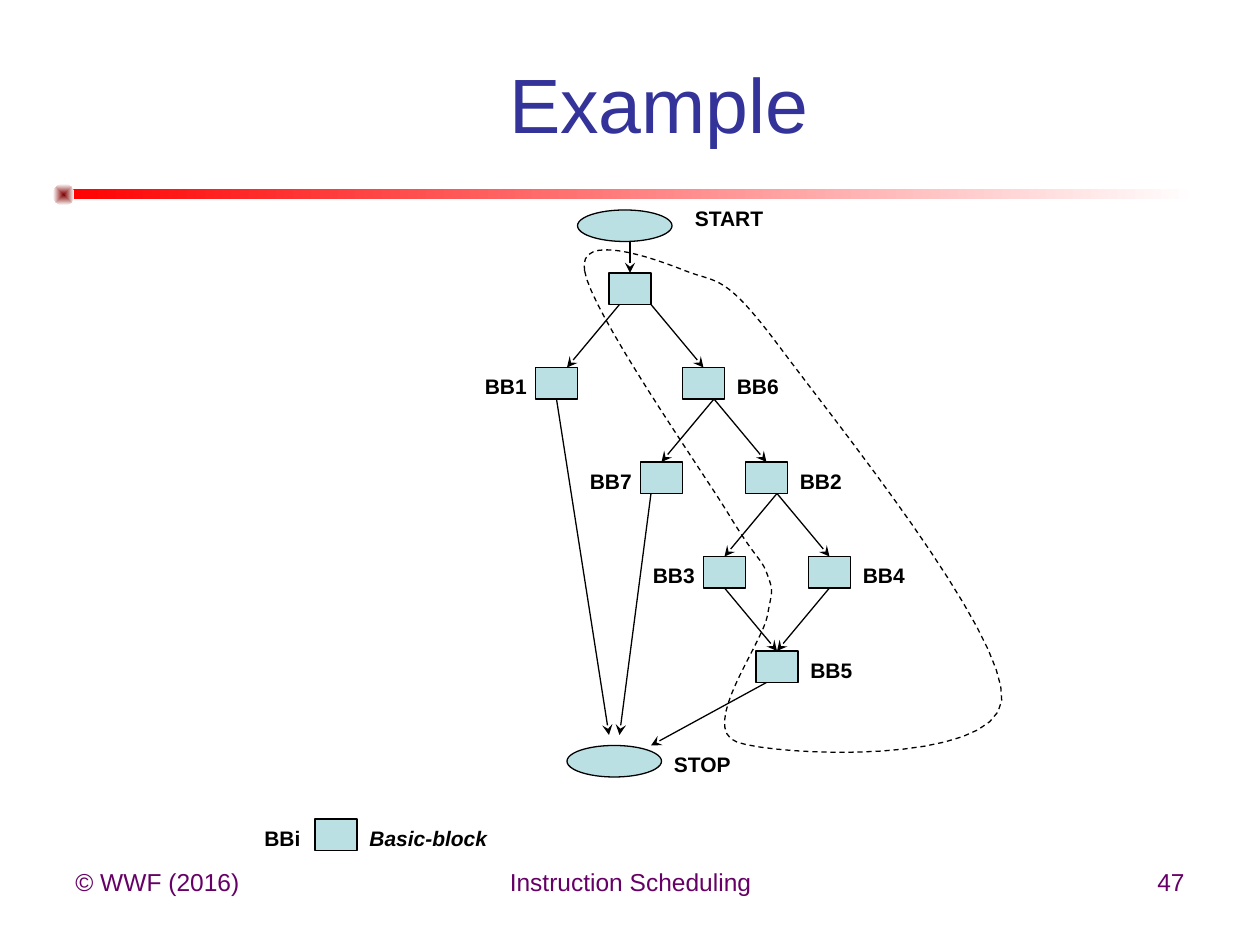
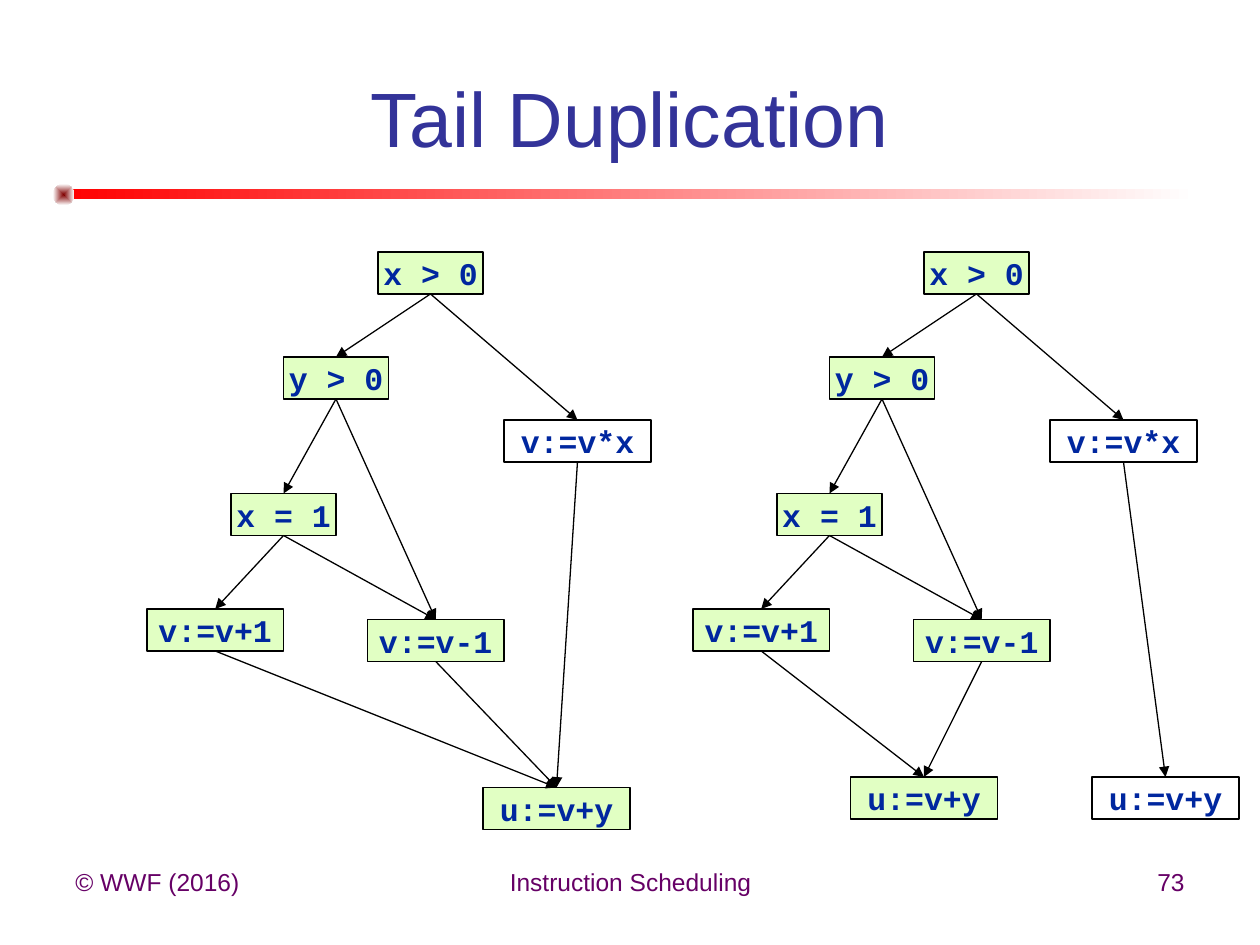
from lxml import etree
from pptx import Presentation
from pptx.dml.color import RGBColor
from pptx.enum.dml import MSO_LINE
from pptx.enum.shapes import MSO_CONNECTOR, MSO_SHAPE
from pptx.enum.text import MSO_ANCHOR, PP_ALIGN
from pptx.oxml import parse_xml
from pptx.oxml.ns import nsdecls, qn
from pptx.util import Inches, Pt

RECT, OVAL, PROCESS = MSO_SHAPE.RECTANGLE, MSO_SHAPE.OVAL, MSO_SHAPE.FLOWCHART_PROCESS
STRAIGHT, DASH = MSO_CONNECTOR.STRAIGHT, MSO_LINE.DASH
LEFT, CENTER, RIGHT = PP_ALIGN.LEFT, PP_ALIGN.CENTER, PP_ALIGN.RIGHT
TOP, MIDDLE = MSO_ANCHOR.TOP, MSO_ANCHOR.MIDDLE

BLACK = RGBColor(0x00, 0x00, 0x00)
WHITE = RGBColor(0xFF, 0xFF, 0xFF)
RED = RGBColor(0xFF, 0x00, 0x00)
MAROON = RGBColor(0x80, 0x00, 0x00)
TITLE_BLUE = RGBColor(0x33, 0x33, 0x99)
FOOTER_PURPLE = RGBColor(0x66, 0x00, 0x66)
BLOCK_TEAL = RGBColor(0xBB, 0xE0, 0xE3)
TRACE_GREEN = RGBColor(0xE1, 0xFF, 0xC3)
CODE_BLUE = RGBColor(0x00, 0x27, 0x9F)
SANS, MONO = "Arial", "Courier New"

# Both graphs sit on a grid of twelfths of an inch: positions below are grid units.

# Slide 1: name -> (left, top); every block is 4 x 3, START and STOP are 9 x 3
BLOCKS = {
    "START": (55, 20), "entry": (58, 26), "BB1": (51, 35), "BB6": (65, 35),
    "BB7": (61, 44), "BB2": (71, 44), "BB3": (67, 53), "BB4": (77, 53),
    "BB5": (72, 62), "STOP": (54, 71), "BBi": (30, 78),
}
TERMINALS = ("START", "STOP")
LEFT_LABELLED = ("BB1", "BB7", "BB3", "BBi")
# (from, offset along its bottom, to, offset along its top, gap above the target)
FLOW = [
    ("START", 5, "entry", 2, 0), ("entry", 1, "BB1", 3, 0),
    ("entry", 4, "BB6", 2, 0), ("BB6", 3, "BB7", 2, 0),
    ("BB6", 3, "BB2", 2, 0), ("BB2", 3, "BB3", 2, 0),
    ("BB2", 3, "BB4", 2, 0), ("BB3", 2, "BB5", 2, 0),
    ("BB4", 2, "BB5", 2, 0), ("BB1", 2, "STOP", 4, 1),
    ("BB7", 1, "STOP", 5, 1), ("BB5", 1, "STOP", 8, 0),
]
# Outline of the selected region, in inches: start, then Bezier segments
REGION_START = (4.64, 2.15)
REGION_CURVES = [
    ((4.58, 1.83), (5.19, 2.05), (5.44, 2.15)),
    ((5.70, 2.25), (5.75, 2.17), (6.17, 2.73)),
    ((6.59, 3.30), (8.00, 5.03), (7.95, 5.56)),
    ((7.89, 6.08), (6.16, 6.00), (5.85, 5.89)),
    ((5.54, 5.78), (6.05, 5.11), (6.09, 4.89)),
    ((6.13, 4.67), (6.14, 4.70), (6.09, 4.56)),
    ((6.04, 4.42), (6.01, 4.46), (5.77, 4.06)),
    ((5.52, 3.66), (4.69, 2.47), (4.64, 2.15)),
]
CURVE_STEPS = 16

# Slide 2: key -> (code, left, top, width, on the trace)
COMMON_CODE = {
    "x>0": ("x > 0", 36, 24, 10, True),
    "y>0": ("y > 0", 27, 34, 10, True),
    "mul": ("v:=v*x", 48, 40, 14, False),
    "x=1": ("x = 1", 22, 47, 10, True),
    "dec": ("v:=v-1", 35, 59, 13, True),
    "inc": ("v:=v+1", 14, 58, 13, True),
}
COMMON_EDGES = [
    ("x>0", "y>0"), ("x>0", "mul"), ("y>0", "x=1"), ("y>0", "dec"),
    ("x=1", "inc"), ("x=1", "dec"), ("inc", "tail"), ("dec", "tail"),
]
# (shift to the right, tail blocks, edge out of mul)
VERSIONS = [
    (0, {"tail": ("u:=v+y", 46, 75, 14, True)}, ("mul", "tail")),
    (52, {"tail": ("u:=v+y", 29, 74, 14, True),
          "copy": ("u:=v+y", 52, 74, 14, False)}, ("mul", "copy")),
]
CODE_HEIGHT = 4


def grid(n):
    return Inches(n / 12)


def write(sp, text, size, color, font=SANS, align=LEFT, anchor=TOP,
          bold=False, italic=False, wrap=True):
    tf = sp.text_frame
    tf.word_wrap = wrap
    tf.vertical_anchor = anchor
    tf.text = text
    p = tf.paragraphs[0]
    p.alignment = align
    f = p.runs[0].font
    f.name, f.size, f.bold, f.italic = font, Pt(size), bold, italic
    f.color.rgb = color


def add_text(s, box, text, size, color, **style):
    sp = s.shapes.add_textbox(*box)
    write(sp, text, size, color, **style)


def outline(sp):
    sp.shadow.inherit = False
    sp.line.color.rgb = BLACK
    sp.line.width = Pt(0.75)


def add_box(s, kind, left, top, width, height, fill):
    sp = s.shapes.add_shape(kind, grid(left), grid(top), grid(width), grid(height))
    outline(sp)
    if fill is None:
        sp.fill.background()
    else:
        sp.fill.solid()
        sp.fill.fore_color.rgb = fill
    return sp


def add_arrow(s, x1, y1, x2, y2, head):
    c = s.shapes.add_connector(STRAIGHT, grid(x1), grid(y1), grid(x2), grid(y2))
    c.line.color.rgb = BLACK
    c.line.width = Pt(0.75)
    etree.SubElement(c.line._get_or_add_ln(), qn("a:tailEnd"), type=head)
    etree.SubElement(c._element.spPr, qn("a:effectLst"))


def add_gradient(s, kind, box, color):
    sp = s.shapes.add_shape(kind, *map(Inches, box))
    sp.shadow.inherit = False
    sp.line.fill.background()
    sp.fill.gradient()
    sp.fill.gradient_angle = 0
    for stop, rgb in zip(sp.fill.gradient_stops, (color, WHITE)):
        stop.color.rgb = rgb
    return sp


def add_slide(prs, title, title_box, number):
    s = prs.slides.add_slide(prs.slide_layouts[6])
    # Fading rule with its bead
    add_gradient(s, RECT, (0.5, 1.5, 9, 0.08), RED)
    bead = add_gradient(s, OVAL, (0.42, 1.46, 0.17, 0.17), MAROON)
    lin = bead._element.spPr.find(".//" + qn("a:lin"))
    lin.getparent().replace(lin, parse_xml(
        f'<a:path {nsdecls("a")} path="shape">'
        '<a:fillToRect l="50000" t="50000" r="50000" b="50000"/></a:path>'))
    # Footer
    for left, width, text, align in [
        (0.5, 2.33, "© WWF (2016)", LEFT),
        (3.42, 3.17, "Instruction Scheduling", CENTER),
        (7.17, 2.33, number, RIGHT),
    ]:
        box = map(Inches, (left, 6.83, width, 0.52))
        add_text(s, box, text, 14, FOOTER_PURPLE, align=align)
    # Title
    add_text(s, map(Inches, title_box), title, 44, TITLE_BLUE,
             align=CENTER, anchor=MIDDLE)
    return s


def add_region(s):
    points, p0 = [], REGION_START
    for p1, p2, p3 in REGION_CURVES:
        for i in range(1, CURVE_STEPS + 1):
            t = i / CURVE_STEPS
            u = 1 - t
            points.append(tuple(
                Inches(u**3 * a + 3 * u * u * t * b + 3 * u * t * t * c + t**3 * d)
                for a, b, c, d in zip(p0, p1, p2, p3)))
        p0 = p3
    fb = s.shapes.build_freeform(*map(Inches, REGION_START))
    fb.add_line_segments(points, close=True)
    sp = fb.convert_to_shape()
    outline(sp)
    sp.fill.background()
    sp.line.dash_style = DASH


def example_slide(prs):
    s = add_slide(prs, "Example", (1.16, 0.55, 8.14, 0.53), "47")
    for name, (left, top) in BLOCKS.items():
        terminal = name in TERMINALS
        width = 9 if terminal else 4
        add_box(s, OVAL if terminal else RECT, left, top, width, 3, BLOCK_TEAL)
        if name == "entry":
            continue
        x, y = (left - 6 if name in LEFT_LABELLED else left + width), top
        if name == "START":
            x, y = x + 1, y - 1
        add_text(s, (grid(x), grid(y), grid(11), Inches(0.3)), name, 12, BLACK, bold=True)
    for src, dx1, dst, dx2, gap in FLOW:
        (x1, y1), (x2, y2) = BLOCKS[src], BLOCKS[dst]
        add_arrow(s, x1 + dx1, y1 + 3, x2 + dx2, y2 - gap, "stealth")
    # Legend text
    left, top = BLOCKS["BBi"]
    add_text(s, (grid(left + 4), grid(top), grid(14), Inches(0.3)),
             "Basic-block", 12, BLACK, bold=True, italic=True)
    add_region(s)


def duplication_slide(prs):
    s = add_slide(prs, "Tail Duplication", (0.5, 0.3, 9, 1.25), "73")
    for shift, tails, mul_edge in VERSIONS:
        code = {**COMMON_CODE, **tails}
        for text, left, top, width, on_trace in code.values():
            sp = add_box(s, PROCESS, left + shift, top, width, CODE_HEIGHT,
                         TRACE_GREEN if on_trace else None)
            write(sp, text, 18, CODE_BLUE, font=MONO, align=CENTER,
                  anchor=MIDDLE, bold=True, wrap=False)
        for src, dst in COMMON_EDGES + [mul_edge]:
            _, x1, y1, w1, _ = code[src]
            _, x2, y2, w2, _ = code[dst]
            add_arrow(s, x1 + w1 / 2 + shift, y1 + CODE_HEIGHT,
                      x2 + w2 / 2 + shift, y2, "triangle")


def main():
    prs = Presentation()
    prs.slide_width, prs.slide_height = Inches(10), Inches(7.5)
    example_slide(prs)
    duplication_slide(prs)
    prs.save("out.pptx")


if __name__ == "__main__":
    main()
